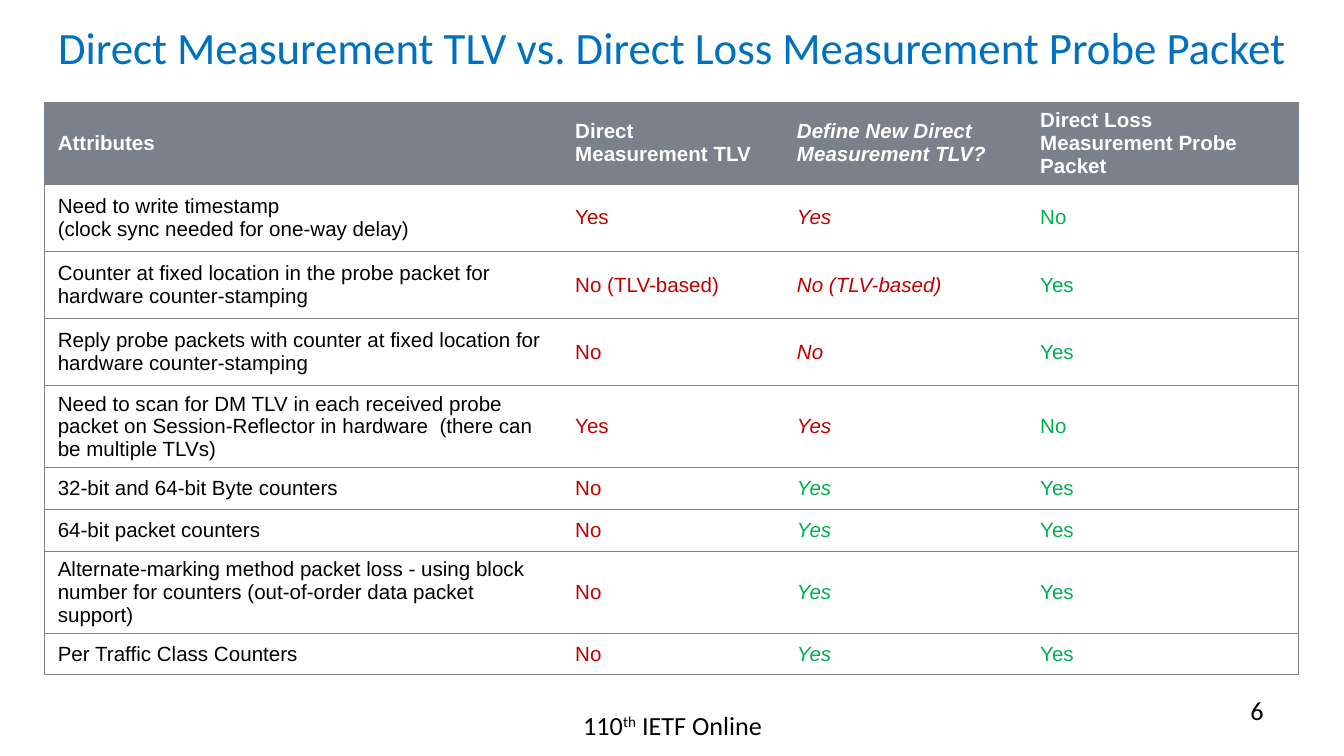
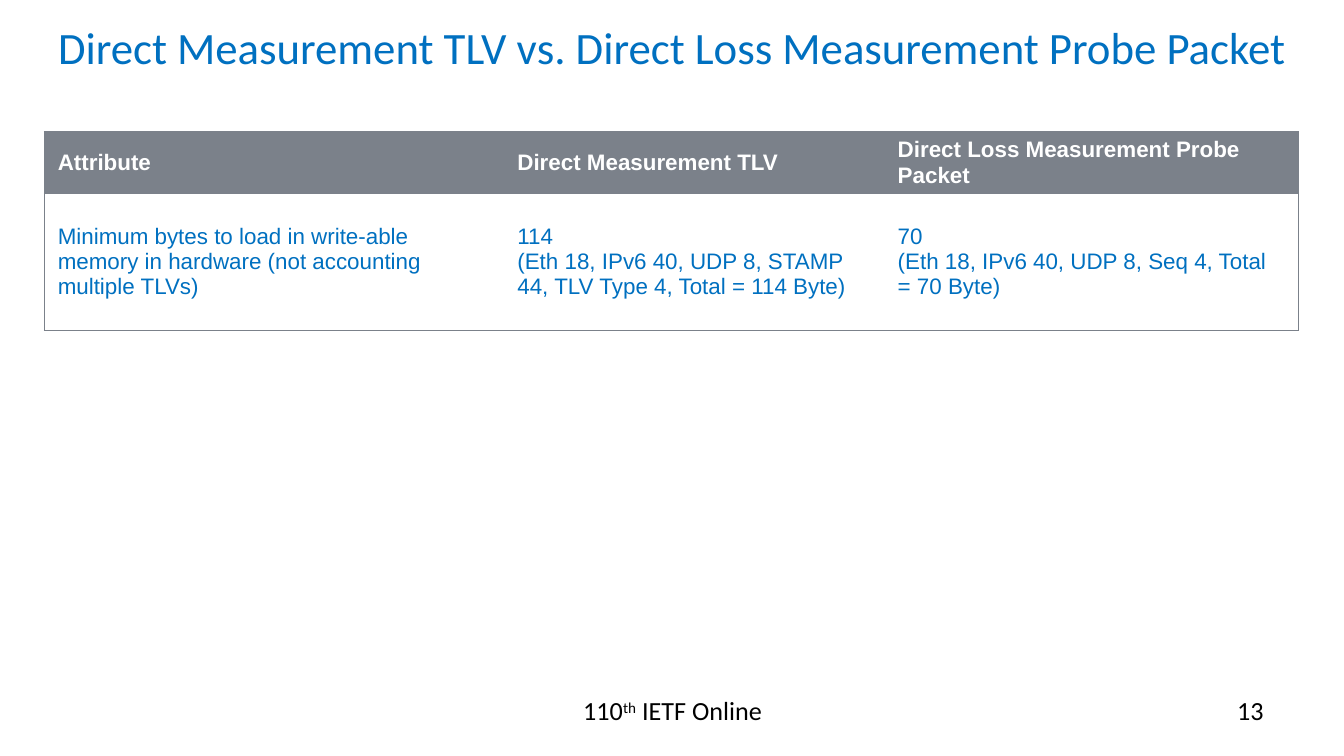
from dataclasses import dataclass

from lxml.etree import SubElement
from pptx import Presentation
from pptx.dml.color import RGBColor as RGB
from pptx.enum.text import MSO_ANCHOR as Anchor, PP_ALIGN as Align
from pptx.oxml.ns import qn
from pptx.util import Inches, Pt


@dataclass(frozen=True)
class Theme:
    heading_font: str = "Calibri"
    table_font: str = "Arial"
    blue: str = "0070C0"
    grey: str = "7B818A"
    red: str = "C00000"
    green: str = "00B050"
    black: str = "000000"
    white: str = "FFFFFF"
    title_size: float = 24
    footer_size: float = 14
    dense_size: float = 11
    table_size: float = 12
    rule: float = 0.75
    cell_margin: float = 0.03


class Deck:
    def __init__(self, theme):
        self.theme = theme
        self.prs = Presentation()
        self.prs.slide_width = Inches(10)
        self.prs.slide_height = Inches(10 * 9 / 16)
        self.slide = None

    def start(self, title, number, venue_top):
        self.slide = self.prs.slides.add_slide(self.prs.slide_layouts[6])
        t = self.theme
        self.text([title], 0, 0, 10, 0.7, t.title_size, t.blue, Align.CENTER, Anchor.MIDDLE)
        venue = self.text(["110", "th", " IETF Online"], 3.42, venue_top, 3.17, 0.39,
                          t.footer_size, t.black, Align.CENTER)
        venue.runs[1]._r.get_or_add_rPr().set("baseline", "30000")
        self.text([str(number)], 7.17, 5.12, 2.33, 0.39, t.footer_size, t.black, Align.RIGHT)

    def style(self, paragraph, face, size, color, bold=False, italic=False):
        font = paragraph.font
        font.name, font.size, font.bold, font.italic = face, Pt(size), bold, italic
        font.color.rgb = RGB.from_string(color)

    def text(self, parts, left, top, width, height, size, color, align, anchor=Anchor.TOP):
        box = self.slide.shapes.add_textbox(*map(Inches, (left, top, width, height)))
        frame = box.text_frame
        frame.word_wrap, frame.vertical_anchor = True, anchor
        paragraph = frame.paragraphs[0]
        paragraph.alignment = align
        for part in parts:
            paragraph.add_run().text = part
        self.style(paragraph, self.theme.heading_font, size, color)
        return paragraph

    def borders(self, cell, visible):
        props = cell._tc.get_or_add_tcPr()
        for side in "LRTB":
            line = SubElement(props, qn(f"a:ln{side}"), w=str(Pt(self.theme.rule)))
            if side in visible:
                fill = SubElement(line, qn("a:solidFill"))
                SubElement(fill, qn("a:srgbClr"), val=self.theme.grey)
            else:
                SubElement(line, qn("a:noFill"))

    def table(self, rows, top, widths, heights, size, color_of, italic_column=None):
        t = self.theme
        frame = self.slide.shapes.add_table(
            len(rows), len(widths), *map(Inches, (0.33, top, sum(widths), sum(heights))))
        table = frame.table
        table.horz_banding = False
        for column, width in zip(table.columns, widths):
            column.width = Inches(width)
        for row, height in zip(table.rows, heights):
            row.height = Inches(height)
        for r, row in enumerate(rows):
            for c, words in enumerate(row):
                cell = table.cell(r, c)
                cell.text = words
                cell.vertical_anchor = Anchor.MIDDLE
                cell.margin_top = cell.margin_bottom = Inches(t.cell_margin)
                outer = {0: "L", len(widths) - 1: "R"}.get(c, "")
                self.borders(cell, "TB" + outer)
                cell.fill.solid()
                cell.fill.fore_color.rgb = RGB.from_string(t.white if r else t.grey)
                color = color_of(r, c) if r else t.white
                for paragraph in cell.text_frame.paragraphs:
                    self.style(paragraph, t.table_font, size, color, r == 0, c == italic_column)


theme = Theme()
deck = Deck(theme)
TITLE = "Direct Measurement TLV vs. Direct Loss Measurement Probe Packet"
TLV, PROBE = "Direct Measurement TLV", "Direct Loss Measurement Probe Packet"

comparison = [
    ("Attributes", TLV, "Define New Direct Measurement TLV?", PROBE),
    ("Need to write timestamp \n(clock sync needed for one-way delay)", "Yes", "Yes", "No"),
    ("Counter at fixed location in the probe packet for hardware counter-stamping",
     "No (TLV-based)", "No (TLV-based)", "Yes"),
    ("Reply probe packets with counter at fixed location for hardware counter-stamping",
     "No", "No", "Yes"),
    ("Need to scan for DM TLV in each received probe packet on Session-Reflector in hardware"
     "  (there can be multiple TLVs)", "Yes", "Yes", "No"),
    ("32-bit and 64-bit Byte counters", "No", "Yes", "Yes"),
    ("64-bit packet counters", "No", "Yes", "Yes"),
    ("Alternate-marking method packet loss - using block number for counters"
     " (out-of-order data packet support)", "No", "Yes", "Yes"),
    ("Per Traffic Class Counters", "No", "Yes", "Yes"),
]


def verdict_color(row, column):
    if column == 0:
        return theme.black
    matches_probe = comparison[row][column] == comparison[row][-1]
    return theme.green if matches_probe else theme.red


deck.start(TITLE, 6, 5.23)
deck.table(comparison, 0.76, [3.85, 1.65, 1.81, 2.02],
           [0.5] * 5 + [0.31, 0.31, 0.5, 0.31], theme.dense_size, verdict_color, italic_column=2)

memory_load = [
    ("Attribute", TLV, PROBE),
    ("Minimum bytes to load in write-able memory in hardware (not accounting multiple TLVs)",
     "114\n(Eth 18, IPv6 40, UDP 8, STAMP 44, TLV Type 4, Total = 114 Byte)",
     "70\n(Eth 18, IPv6 40, UDP 8, Seq 4, Total = 70 Byte)"),
]
deck.start(TITLE, 13, 5.12)
deck.table(memory_load, 0.98, [3.42, 2.83, 3.08], [0.45, 1.02], theme.table_size,
           lambda row, column: theme.blue)

deck.prs.save("out.pptx")
